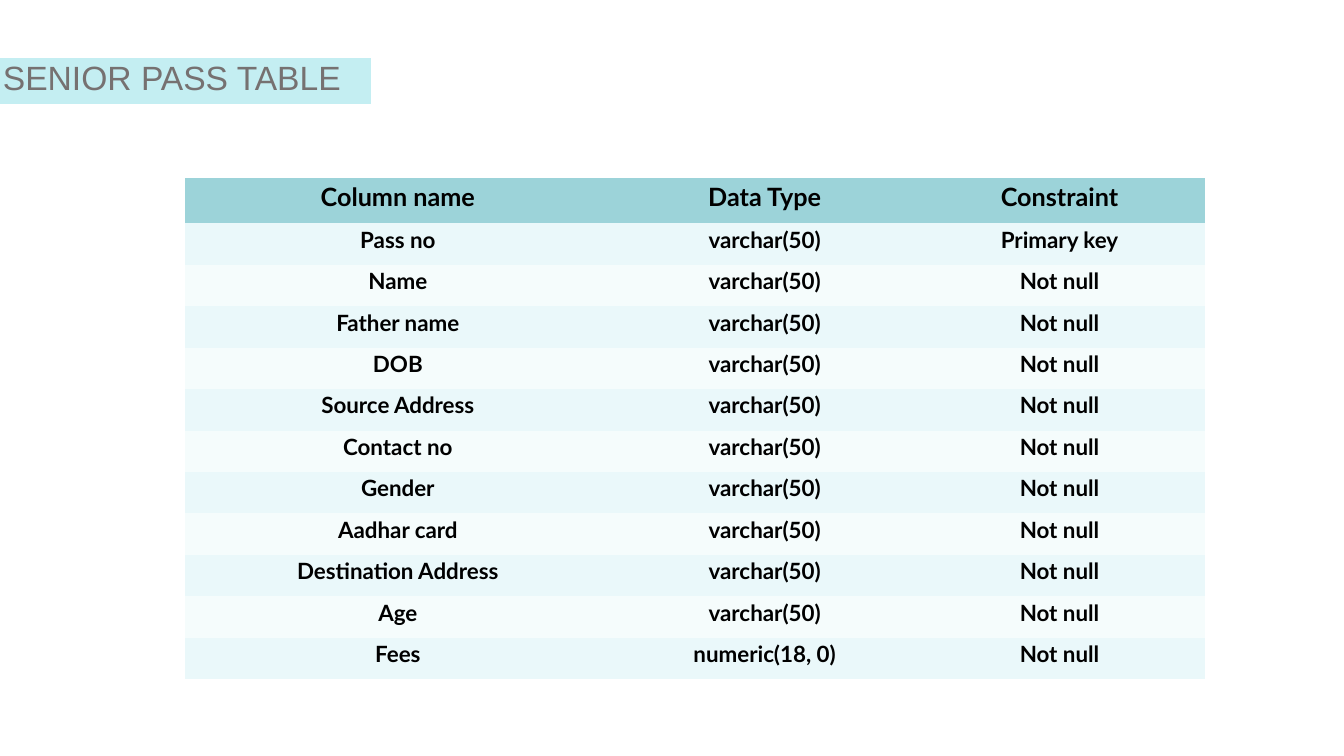
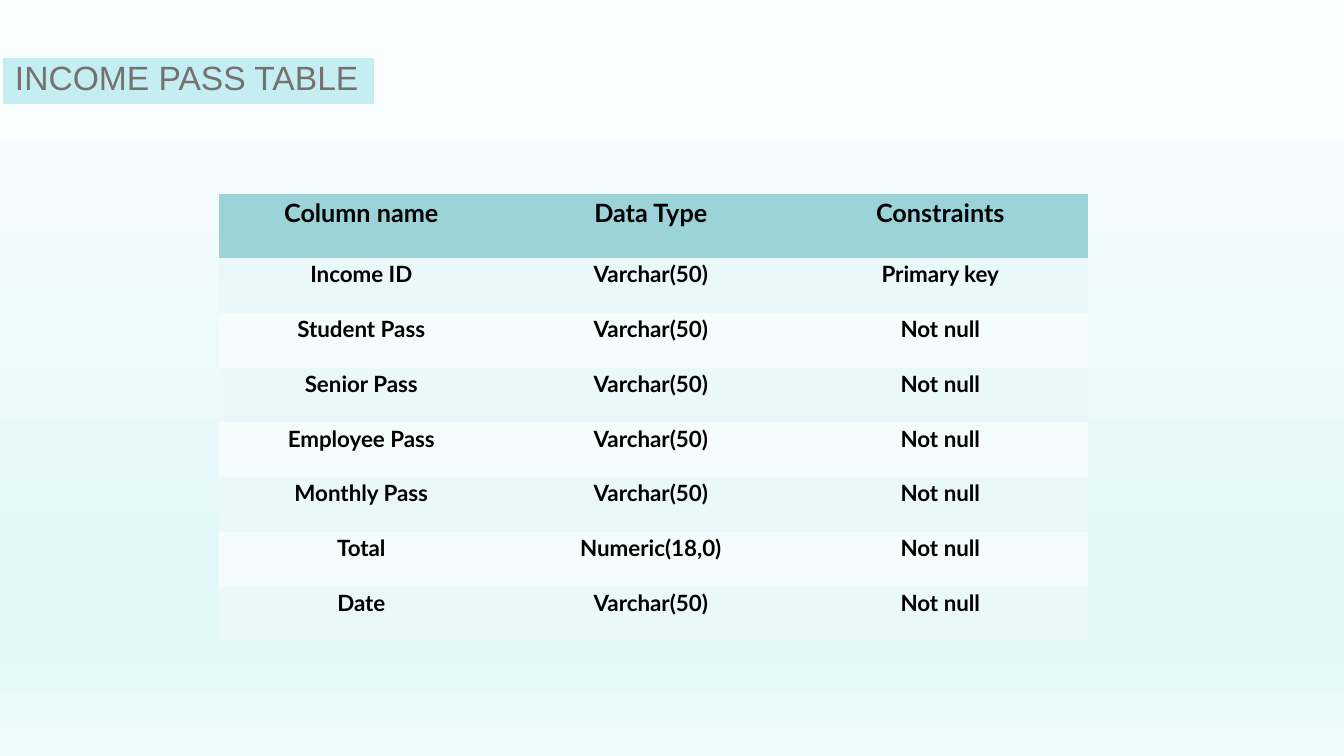
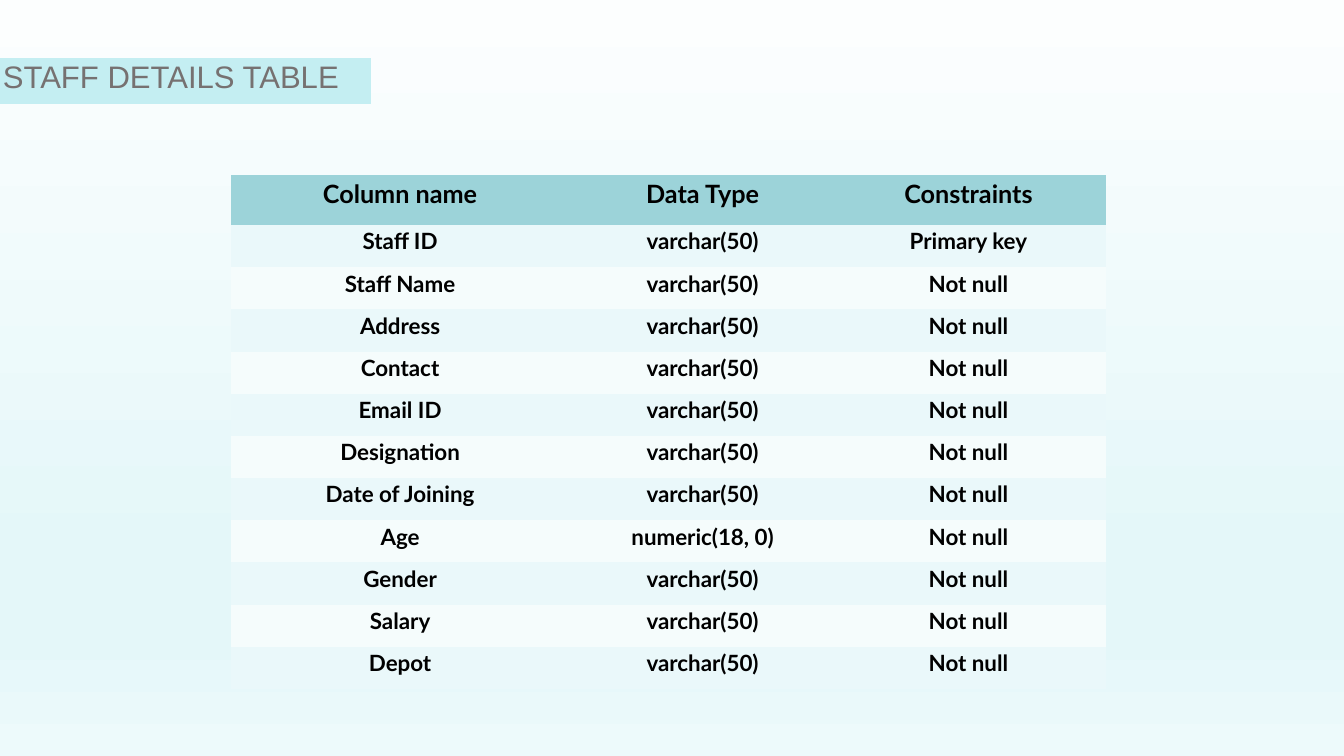
from dataclasses import dataclass

from lxml import etree
from pptx import Presentation
from pptx.dml.color import RGBColor
from pptx.enum.shapes import MSO_SHAPE
from pptx.enum.text import PP_ALIGN
from pptx.oxml.ns import qn
from pptx.util import Pt

MINUS = MSO_SHAPE.MATH_MINUS
CENTER = PP_ALIGN.CENTER
NO_STYLE_NO_GRID = "{2D5ABB26-0587-4C30-8999-92F81FD0307C}"

TEXT, KEY, REQUIRED = "varchar(50)", "Primary key", "Not null"
NUMBER = "numeric(18, 0)"
INCOME_TEXT = "Varchar(50)"

SLIDES = [
    {
        "title": "SENIOR PASS TABLE", "title_size": 24,
        "title_left": -5, "band_left": -47.5, "gradient": False,
        "left": 132.5, "top": 127.4, "widths": [307.4, 216.7, 204.5],
        "header_height": 32.2, "row_height": 29.6,
        "rows": [
            ("Column name", "Data Type", "Constraint"),
            ("Pass no", TEXT, KEY),
            ("Name", TEXT, REQUIRED),
            ("Father name", TEXT, REQUIRED),
            ("DOB", TEXT, REQUIRED),
            ("Source Address", TEXT, REQUIRED),
            ("Contact no", TEXT, REQUIRED),
            ("Gender", TEXT, REQUIRED),
            ("Aadhar card", TEXT, REQUIRED),
            ("Destination Address", TEXT, REQUIRED),
            ("Age", TEXT, REQUIRED),
            ("Fees", NUMBER, REQUIRED),
        ],
    },
    {
        "title": "INCOME PASS TABLE", "title_size": 24,
        "title_left": 3.6, "band_left": -45.4, "gradient": True,
        "left": 156.7, "top": 138.8, "widths": [206.8, 206.8, 206.8],
        "header_height": 45.6, "row_height": 39.1,
        "rows": [
            ("Column name", "Data Type", "Constraints"),
            ("Income ID", INCOME_TEXT, KEY),
            ("Student Pass", INCOME_TEXT, REQUIRED),
            ("Senior Pass", INCOME_TEXT, REQUIRED),
            ("Employee Pass", INCOME_TEXT, REQUIRED),
            ("Monthly Pass", INCOME_TEXT, REQUIRED),
            ("Total", "Numeric(18,0)", REQUIRED),
            ("Date", INCOME_TEXT, REQUIRED),
        ],
    },
    {
        "title": "STAFF DETAILS TABLE", "title_size": 22.2,
        "title_left": -5, "band_left": -47.5, "gradient": True,
        "left": 165, "top": 125.2, "widths": [245.6, 186.6, 193.2],
        "header_height": 35.5, "row_height": 30.15,
        "rows": [
            ("Column name", "Data Type", "Constraints"),
            ("Staff ID", TEXT, KEY),
            ("Staff Name", TEXT, REQUIRED),
            ("Address", TEXT, REQUIRED),
            ("Contact", TEXT, REQUIRED),
            ("Email ID", TEXT, REQUIRED),
            ("Designation", TEXT, REQUIRED),
            ("Date of Joining", TEXT, REQUIRED),
            ("Age", NUMBER, REQUIRED),
            ("Gender", TEXT, REQUIRED),
            ("Salary", TEXT, REQUIRED),
            ("Depot", TEXT, REQUIRED),
        ],
    },
]


@dataclass(frozen=True)
class Theme:
    paper: str = "FFFFFF"
    gradient: tuple = ((0, "FCFEFE"), (74, "E4F7F9"), (83, "E4F7F9"), (100, "EDFAFB"))
    title_band: str = "C4EEF2"
    title: str = "767171"
    header: str = "9CD3D9"
    stripes: tuple = ("F5FCFC", "EAF8FA")
    ink: str = "000000"
    title_font: str = "Arial"
    table_font: str = "Lato"
    header_size: float = 18
    body_size: float = 16


THEME = Theme()


def paint(fill, color):
    fill.solid()
    fill.fore_color.rgb = RGBColor.from_string(color)


def style_font(paragraph, name, size, color, bold=False):
    font = paragraph.font
    font.name, font.size, font.bold = name, Pt(size), bold
    font.color.rgb = RGBColor.from_string(color)


def set_background(page, gradient):
    fill = page.background.fill
    if not gradient:
        paint(fill, THEME.paper)
        return
    fill.gradient()
    fill.gradient_angle = 270  # counter-clockwise: top to bottom
    stops = page.background._cSld.find(".//" + qn("a:gsLst"))
    for stop in list(stops):
        stops.remove(stop)
    for percent, color in THEME.gradient:
        stop = etree.SubElement(stops, qn("a:gs"), pos=str(percent * 1000))
        etree.SubElement(stop, qn("a:srgbClr"), val=color)


def add_title(page, content):
    band = page.shapes.add_shape(
        MINUS, Pt(content["band_left"]), Pt(-11.5), Pt(360), Pt(139))
    band.shadow.inherit = False
    paint(band.fill, THEME.title_band)
    band.line.fill.background()

    box = page.shapes.add_textbox(
        Pt(content["title_left"]), Pt(40.3), Pt(281), Pt(40.3))
    box.text_frame.word_wrap = True
    paragraph = box.text_frame.paragraphs[0]
    paragraph.text = content["title"]
    paragraph.line_spacing = 0.9
    style_font(paragraph, THEME.title_font, content["title_size"], THEME.title)


def fill_cell(cell, text, color, size):
    paint(cell.fill, color)
    cell.margin_left, cell.margin_right = Pt(5.5), Pt(9.5)
    cell.margin_top, cell.margin_bottom = Pt(0.7), Pt(0)
    paragraph = cell.text_frame.paragraphs[0]
    paragraph.text = text
    paragraph.alignment = CENTER
    paragraph.line_spacing = 1.07
    paragraph.space_after = Pt(0.3)
    style_font(paragraph, THEME.table_font, size, THEME.ink, bold=True)


def add_schema(page, content):
    rows, widths = content["rows"], content["widths"]
    heights = [content["header_height"]] + [content["row_height"]] * (len(rows) - 1)
    frame = page.shapes.add_table(
        len(rows), len(widths), Pt(content["left"]), Pt(content["top"]),
        Pt(sum(widths)), Pt(sum(heights)))
    table = frame.table
    table.horz_banding = False
    table._tbl.find(".//" + qn("a:tableStyleId")).text = NO_STYLE_NO_GRID
    for column, width in zip(table.columns, widths):
        column.width = Pt(width)
    for index, (values, height) in enumerate(zip(rows, heights)):
        table.rows[index].height = Pt(height)
        color = THEME.stripes[index % 2] if index else THEME.header
        size = THEME.body_size if index else THEME.header_size
        for cell, value in zip(table.rows[index].cells, values):
            fill_cell(cell, value, color, size)


def main():
    deck = Presentation()
    deck.slide_width, deck.slide_height = Pt(960), Pt(540)
    blank = deck.slide_layouts[6]
    for content in SLIDES:
        page = deck.slides.add_slide(blank)
        set_background(page, content["gradient"])
        add_title(page, content)
        add_schema(page, content)
    deck.save("out.pptx")


if __name__ == "__main__":
    main()
